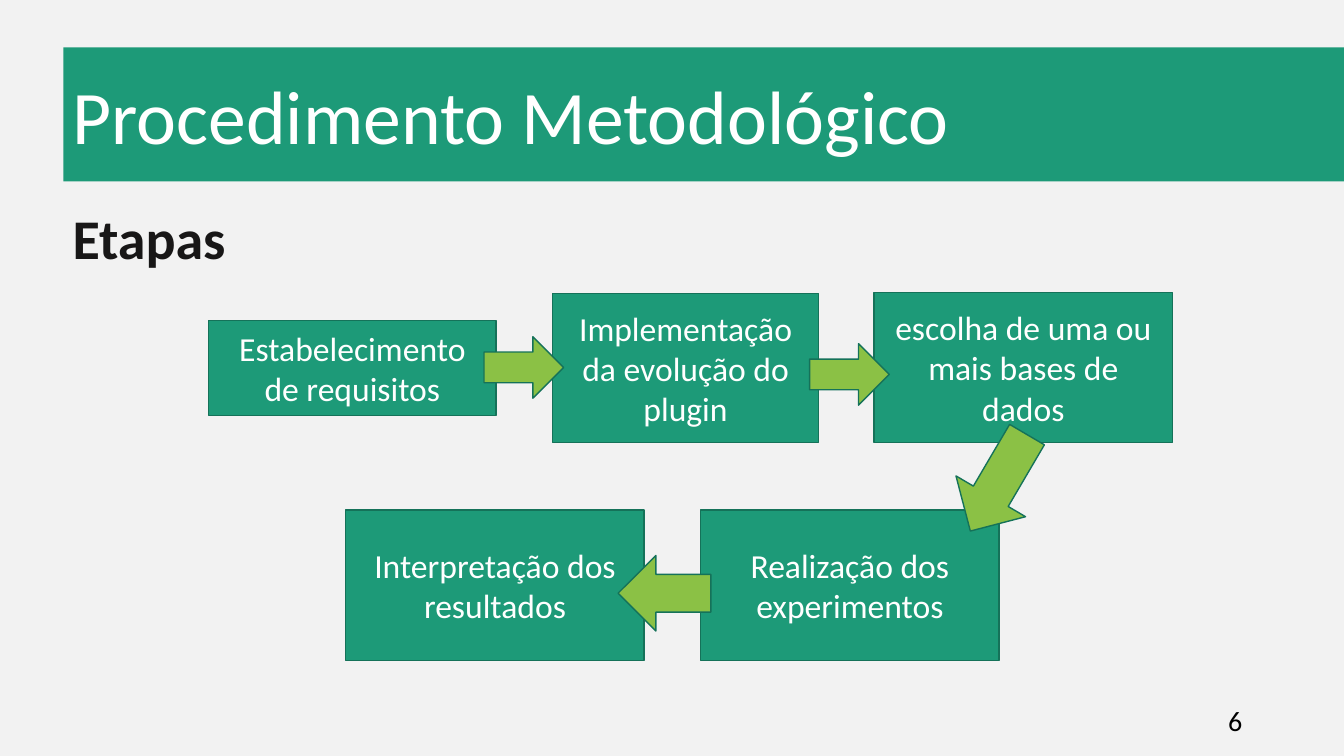
"""Builds the methodology slide: a title bar and five steps joined by block arrows."""
from lxml import etree
from pptx import Presentation
from pptx.dml.color import RGBColor
from pptx.enum.shapes import MSO_SHAPE
from pptx.enum.text import MSO_ANCHOR, MSO_AUTO_SIZE, PP_ALIGN
from pptx.oxml.ns import qn
from pptx.util import Pt

PX = 9144
RECTANGLE, RIGHT_ARROW = MSO_SHAPE.RECTANGLE, MSO_SHAPE.RIGHT_ARROW
TOP, MIDDLE = MSO_ANCHOR.TOP, MSO_ANCHOR.MIDDLE
LEFT, CENTER, RIGHT = PP_ALIGN.LEFT, PP_ALIGN.CENTER, PP_ALIGN.RIGHT
NO_AUTO_SIZE = MSO_AUTO_SIZE.NONE
FONT = "Calibri"
BACKGROUND = RGBColor(0xF2, 0xF2, 0xF2)
GREEN = RGBColor(0x1D, 0x9A, 0x78)
DARK_GREEN = RGBColor(0x15, 0x72, 0x59)
LIME = RGBColor(0x8B, 0xC1, 0x45)
INK = RGBColor(0x18, 0x17, 0x17)
BLACK = RGBColor(0x00, 0x00, 0x00)
WHITE = RGBColor(0xFF, 0xFF, 0xFF)

STEPS = [
    ("Estabelecimento de requisitos", 207, 318, 285, 94),
    ("Implementação da evolução do plugin", 548, 291, 264, 148),
    ("escolha de uma ou mais bases de dados", 867, 290, 296, 149),
    ("Realização dos experimentos", 695, 506, 296, 149),
    ("Interpretação dos resultados", 343, 506, 296, 149),
]
ARROWS = [
    (480, 334, 79, 61, 0),
    (803, 341, 79, 61, 0),
    (935, 439, 111, 80, 120.4),
    (613, 551, 92, 75, 180),
]


def add_block(kind, left, top, width, height, fill, line=None):
    shape = slide.shapes.add_shape(kind, left * PX, top * PX, width * PX, height * PX)
    shape.shadow.inherit = False
    shape.fill.solid()
    shape.fill.fore_color.rgb = fill
    if line is None:
        shape.line.fill.background()
    else:
        shape.line.color.rgb = line
        shape.line.width = Pt(1)
    return shape


def write(shape, text, size, color, align, anchor, bold=False):
    frame = shape.text_frame
    frame.word_wrap = True
    frame.auto_size = NO_AUTO_SIZE
    frame.vertical_anchor = anchor
    paragraph = frame.paragraphs[0]
    paragraph.alignment = align
    paragraph.space_before = Pt(0)
    run = paragraph.add_run()
    run.text = text
    run.font.name = FONT
    run.font.size = Pt(size)
    run.font.bold = bold
    run.font.color.rgb = color
    return paragraph


presentation = Presentation()
presentation.slide_width = 1333 * PX
presentation.slide_height = 750 * PX
slide = presentation.slides.add_slide(presentation.slide_layouts[1])
slide.background.fill.solid()
slide.background.fill.fore_color.rgb = BACKGROUND

title = slide.shapes.title
title.left, title.top, title.width, title.height = 62 * PX, 63 * PX, 1209 * PX, 101 * PX
write(title, "Procedimento Metodológico", 54, WHITE, LEFT, MIDDLE)
title_bar = add_block(RECTANGLE, 63, 47, 1270, 133, GREEN)
title.element.addprevious(title_bar.element)

body = slide.placeholders[1]
body.left, body.top, body.width, body.height = 62 * PX, 197 * PX, 1209 * PX, 77 * PX
heading = write(body, "Etapas", 40, INK, LEFT, TOP, bold=True)
properties = heading._p.get_or_add_pPr()
properties.set("marL", "0")
properties.set("indent", "0")
etree.SubElement(properties, qn("a:buNone"))

for text, left, top, width, height in STEPS:
    step = add_block(RECTANGLE, left, top, width, height, GREEN, DARK_GREEN)
    write(step, text, 24, WHITE, CENTER, MIDDLE)

for left, top, width, height, rotation in ARROWS:
    arrow = add_block(RIGHT_ARROW, left, top, width, height, LIME, DARK_GREEN)
    arrow.rotation = rotation

slide_number = slide.shapes.add_textbox(942 * PX, 695 * PX, 300 * PX, 40 * PX)
write(slide_number, "6", 20, BLACK, RIGHT, MIDDLE)

presentation.save("out.pptx")
